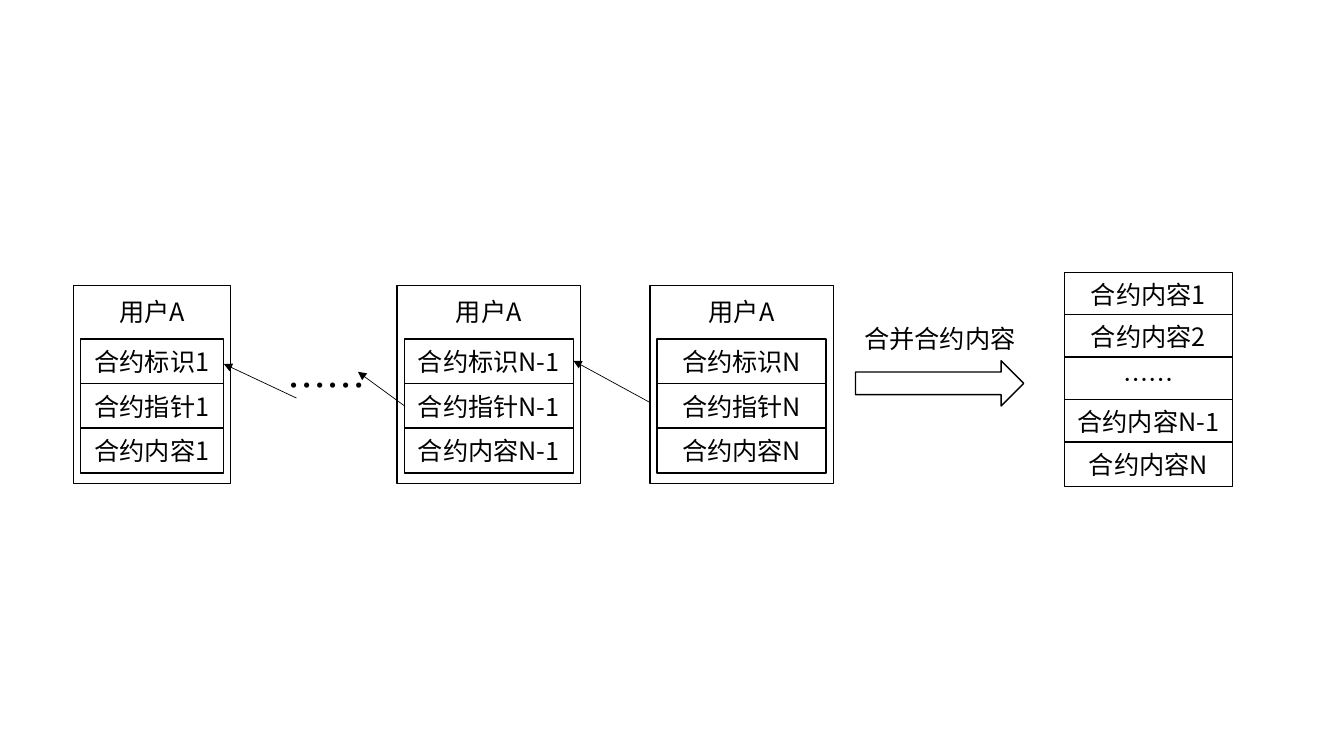
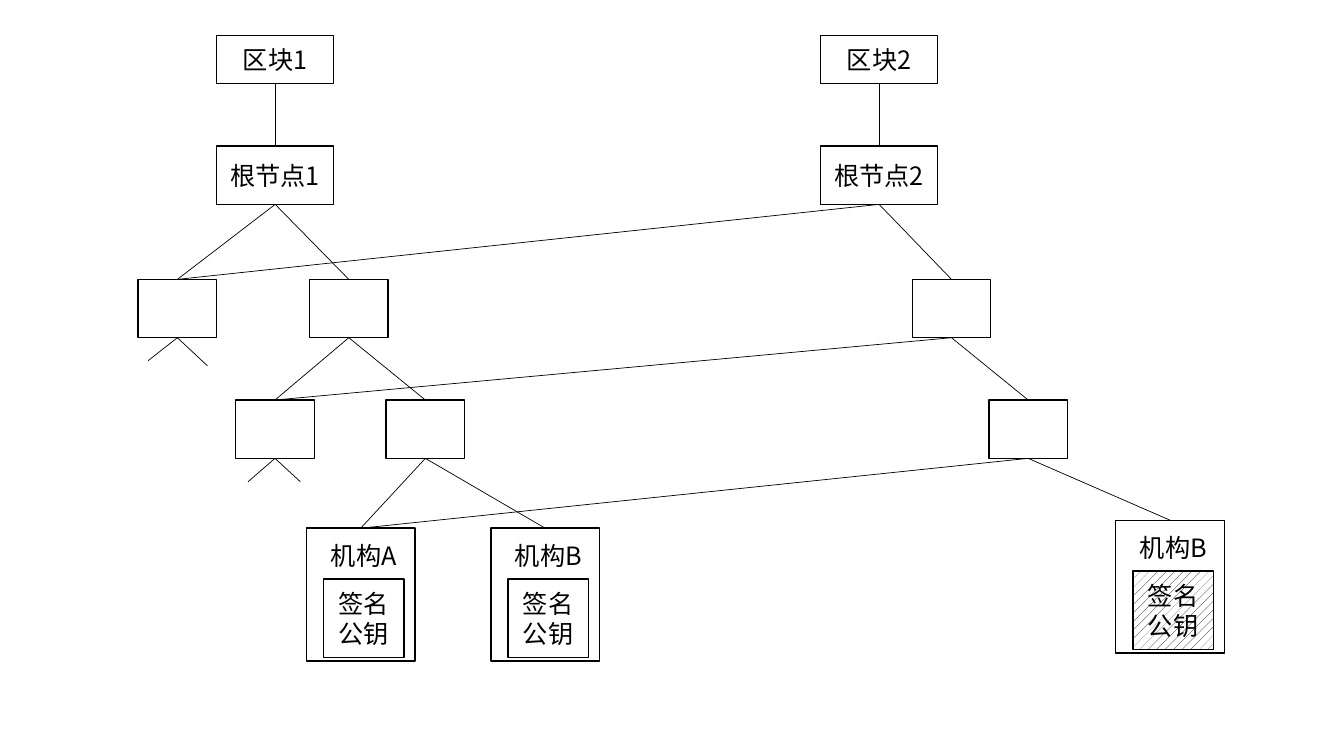
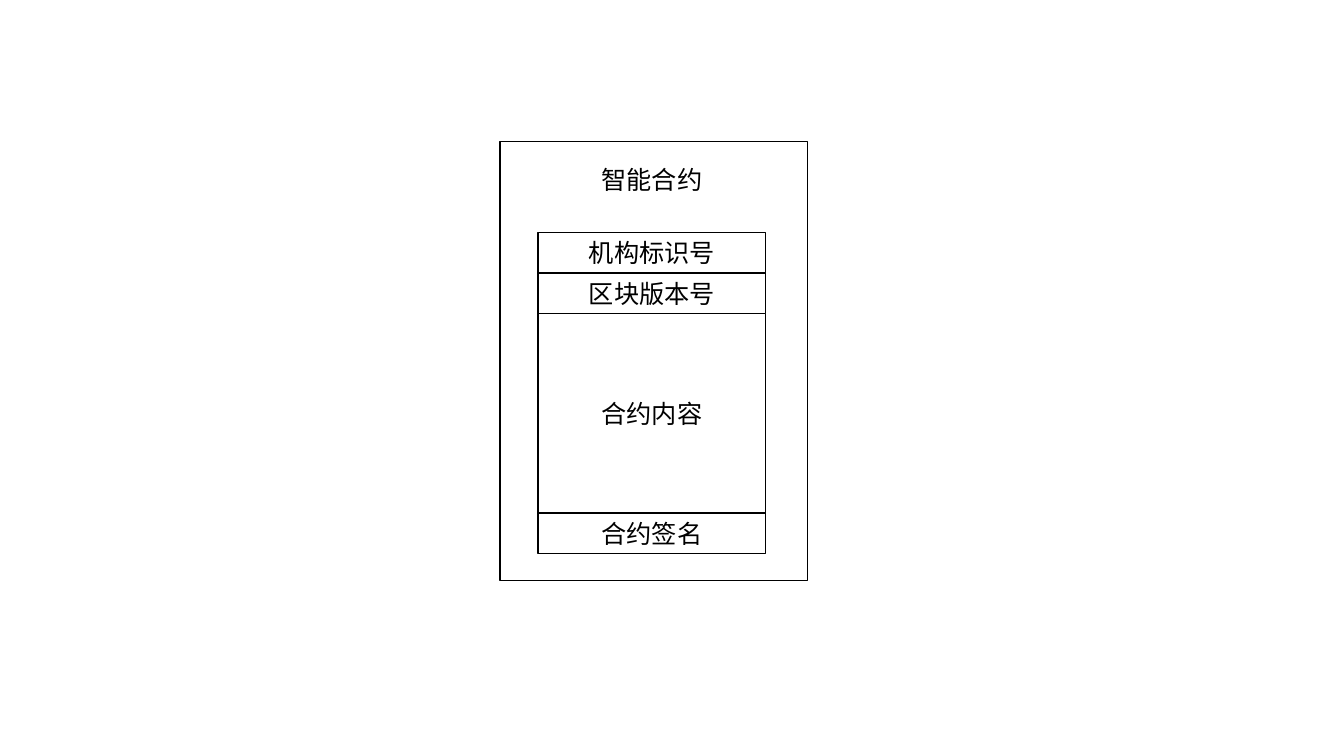
from lxml import etree
from pptx import Presentation
from pptx.dml.color import RGBColor
from pptx.enum.dml import MSO_PATTERN
from pptx.enum.shapes import MSO_CONNECTOR, MSO_SHAPE
from pptx.enum.text import MSO_ANCHOR, PP_ALIGN
from pptx.oxml.ns import qn
from pptx.util import Cm, Pt

RECT = MSO_SHAPE.RECTANGLE
RIGHT_ARROW = MSO_SHAPE.RIGHT_ARROW
STRAIGHT = MSO_CONNECTOR.STRAIGHT
CENTER = PP_ALIGN.CENTER
TOP, MIDDLE = MSO_ANCHOR.TOP, MSO_ANCHOR.MIDDLE
DOTS = MSO_PATTERN.PERCENT_20
TOP_SITE, BOTTOM_SITE = 0, 2
COLORS = {"ink": "000000", "paper": "FFFFFF"}
FONT = "Noto Sans CJK SC"


def color(name):
    return RGBColor.from_string(COLORS[name])


class Diagram:
    """Draws black-outlined boxes, labels and lines on the current slide."""

    def __init__(self, prs):
        self.prs = prs

    def new_slide(self):
        self.s = self.prs.slides.add_slide(self.prs.slide_layouts[6])

    def group(self):
        return self.s.shapes.add_group_shape()

    def put_text(self, sp, text, size, anchor):
        tf = sp.text_frame
        tf.text = text
        tf.word_wrap = True
        tf.vertical_anchor = anchor
        tf.margin_left = tf.margin_right = Cm(0.13)
        p = tf.paragraphs[0]
        p.alignment = CENTER
        for r in p.runs:
            r.font.size = Pt(size)
            r.font.color.rgb = color("ink")
            r.font.name = FONT
            ea = etree.SubElement(r._r.get_or_add_rPr(), qn("a:ea"))
            ea.set("typeface", FONT)

    def box(self, x, y, w, h, text="", shape=RECT, dotted=False, parent=None):
        shapes = (parent or self.s).shapes
        sp = shapes.add_shape(shape, Cm(x), Cm(y), Cm(w), Cm(h))
        sp.shadow.inherit = False
        if dotted:
            sp.fill.patterned()
            sp.fill.pattern = DOTS
            sp.fill.fore_color.rgb = color("ink")
            sp.fill.back_color.rgb = color("paper")
        else:
            sp.fill.solid()
            sp.fill.fore_color.rgb = color("paper")
        sp.line.color.rgb = color("ink")
        sp.line.width = Pt(1)
        if text:
            self.put_text(sp, text, 18, MIDDLE)
        return sp

    def label(self, x, y, w, h, text, size=18, parent=None):
        shapes = (parent or self.s).shapes
        sp = shapes.add_textbox(Cm(x), Cm(y), Cm(w), Cm(h))
        self.put_text(sp, text, size, TOP)

    def line(self, start=(0, 0), end=(0, 0), arrow=False):
        points = [Cm(v) for v in (*start, *end)]
        cn = self.s.shapes.add_connector(STRAIGHT, *points)
        cn.line.color.rgb = color("ink")
        cn.line.width = Pt(0.5)
        spPr = cn._element.spPr
        if arrow:
            tail = etree.SubElement(spPr.find(qn("a:ln")), qn("a:tailEnd"))
            tail.set("type", "triangle")
        etree.SubElement(spPr, qn("a:effectLst"))
        return cn

    def link(self, upper, lower):
        cn = self.line()
        cn.begin_connect(upper, BOTTOM_SITE)
        cn.end_connect(lower, TOP_SITE)

    def contract_card(self, x, w, number):
        g = self.group()
        self.box(x, 7.19, w, 5, parent=g)
        self.label(x + 0.6, 7.34, w - 1.2, 0.97, "用户A", parent=g)
        for i, field in enumerate(("标识", "指针", "内容")):
            self.box(x + 0.18, 8.54 + 1.13 * i, w - 0.36, 1.12,
                     f"合约{field}{number}", parent=g)

    def organization(self, x, y, name, dotted=False):
        g = self.group()
        frame = self.box(x, y, 2.74, 3.35, parent=g)
        self.label(x + 0.18, y + 0.19, 2.54, 1.02, name, parent=g)
        self.box(x + 0.43, y + 1.28, 2.03, 1.98, "签名公钥", dotted=dotted, parent=g)
        return frame

    def block(self, x, number):
        head = self.box(x, 0.89, 2.95, 1.22, f"区块{number}")
        root = self.box(x, 3.68, 2.95, 1.47, f"根节点{number}")
        self.link(head, root)
        return root

    def node(self, x, y):
        return self.box(x, y, 1.98, 1.47)


def contract_chain(d):
    d.new_slide()
    d.contract_card(1.85, 3.96, "1")
    d.contract_card(10.01, 4.62, "N-1")
    d.label(6.25, 8.97, 3.96, 1.45, "……", size=28)
    d.line((16.56, 10.24), (14.45, 9.09), arrow=True)
    d.line((10.21, 10.24), (9.02, 9.37), arrow=True)
    d.line((7.47, 10.03), (5.64, 9.17), arrow=True)
    d.contract_card(16.38, 4.62, "N")
    d.box(21.56, 9.09, 4.24, 1.14, shape=RIGHT_ARROW)
    d.label(21.46, 8.03, 4.45, 1.02, "合并合约内容")
    merged = ("合约内容1", "合约内容2", "……", "合约内容N-1", "合约内容N")
    for i, text in enumerate(merged):
        d.box(26.82, 6.86 + 1.07 * i, 4.24, 1.12, text)


def block_trees(d):
    d.new_slide()
    upper_y, lower_y = 7.04, 10.08
    root_1, root_2 = d.block(5.46, 1), d.block(20.68, 2)
    upper_left, upper_mid, upper_right = [d.node(x, upper_y) for x in (3.48, 7.8, 22.99)]
    lower_left, lower_mid, lower_right = [d.node(x, lower_y) for x in (5.94, 9.73, 24.92)]
    org_a = d.organization(7.72, 13.31, "机构A")
    org_b = d.organization(12.37, 13.31, "机构B")
    new_org_b = d.organization(28.12, 13.11, "机构B", dotted=True)
    children = (
        (root_1, upper_left, upper_mid),
        (upper_mid, lower_left, lower_mid),
        (lower_mid, org_a, org_b),
        (root_2, upper_left, upper_right),
        (upper_right, lower_left, lower_right),
        (lower_right, org_a, new_org_b),
    )
    for parent, *pair in children:
        for child in pair:
            d.link(parent, child)
    stubs = (
        ((4.47, 8.51), (3.73, 9.09), (5.23, 9.22)),
        ((6.93, 11.55), (6.25, 12.14), (7.57, 12.14)),
    )
    for start, *ends in stubs:
        for end in ends:
            d.line(start, end)


def smart_contract(d):
    d.new_slide()
    x, w, y = 13.56, 5.74, 5.86
    d.box(12.6, 3.56, 7.75, 11.07)
    d.label(x, 4.01, w, 1.02, "智能合约")
    fields = (("机构标识号", 1.02), ("区块版本号", 1.02), ("合约内容", 5.03), ("合约签名", 1.02))
    for text, h in fields:
        d.box(x, y, w, h, text)
        y += h


prs = Presentation()
prs.slide_width, prs.slide_height = Cm(33.87), Cm(19.05)
diagram = Diagram(prs)
contract_chain(diagram)
block_trees(diagram)
smart_contract(diagram)
prs.save("out.pptx")
